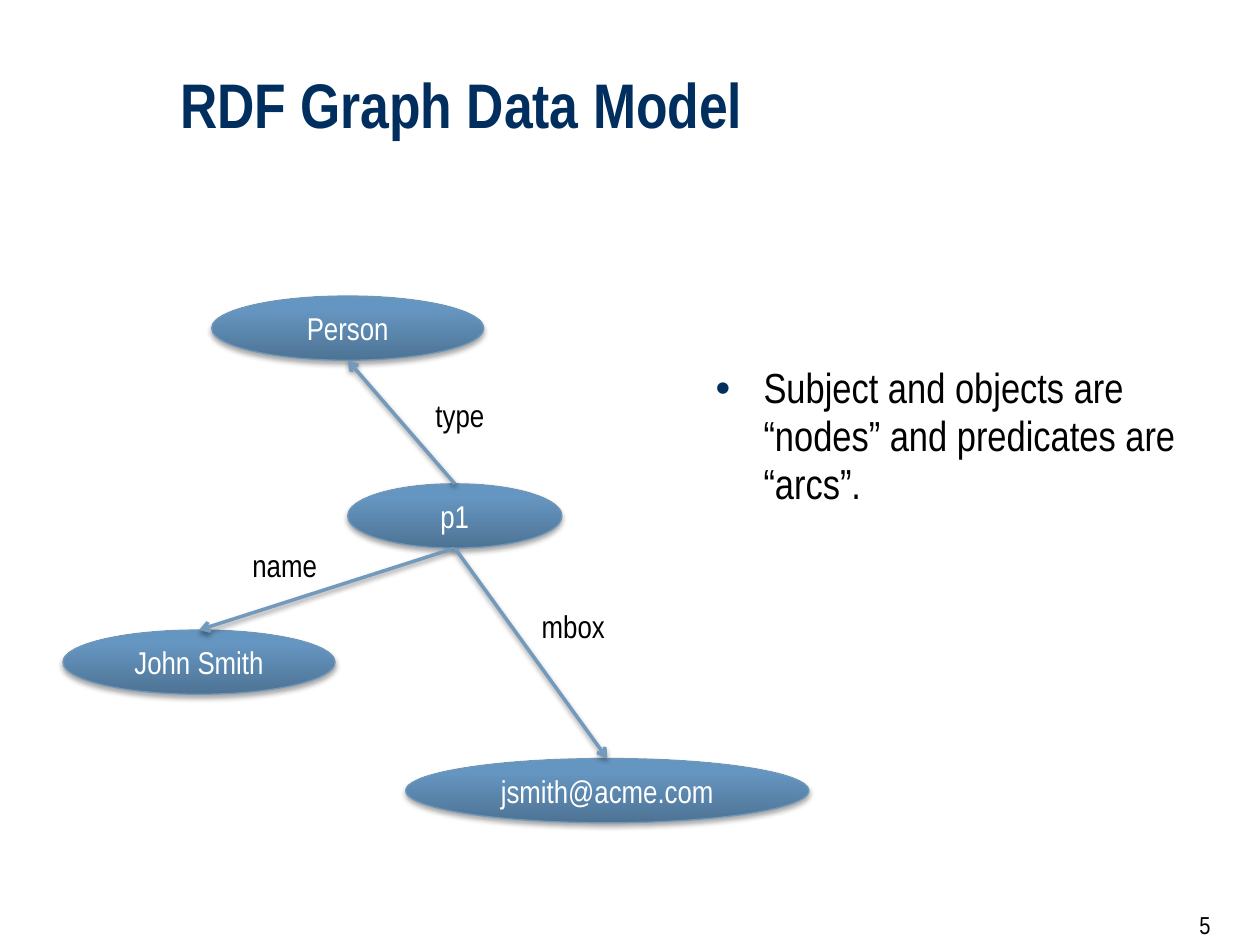
from dataclasses import dataclass

from lxml.etree import SubElement
from pptx import Presentation
from pptx.dml.color import RGBColor
from pptx.enum.shapes import MSO_CONNECTOR as Line, MSO_SHAPE as Preset
from pptx.enum.text import MSO_ANCHOR as Anchor, MSO_AUTO_SIZE as AutoSize, PP_ALIGN as Align
from pptx.oxml.ns import qn
from pptx.util import Inches, Pt

FONT = "Arial Narrow"
NAVY = RGBColor(0x00, 0x2F, 0x5F)
BLACK = RGBColor(0x00, 0x00, 0x00)
WHITE = RGBColor(0xFF, 0xFF, 0xFF)
NODE_EDGE = RGBColor(0x6F, 0x97, 0xBA)
ARC_BLUE = RGBColor(0x73, 0x9A, 0xBC)
NODE_GRADIENT = (
    (0, RGBColor(0x4E, 0x73, 0x94)),
    (80, RGBColor(0x65, 0x96, 0xC1)),
    (100, RGBColor(0x64, 0x97, 0xC3)),
)
SLIDE_W, SLIDE_H = Inches(10), Inches(7.5)
NODE_H = 6.8  # percent of the slide height


@dataclass(frozen=True)
class Node:
    """An ellipse; lengths are percent of the slide's width or height."""
    text: str
    left: float
    top: float
    width: float

    @property
    def middle(self) -> float:
        return self.left + self.width / 2

    @property
    def bottom(self) -> float:
        return self.top + NODE_H


@dataclass(frozen=True)
class Arc:
    """A predicate from the subject to an object, with its label's corner."""
    predicate: str
    target: Node
    label_left: float
    label_top: float


SUBJECT = Node("p1", 27.6, 51.2, 17)
PERSON = Node("Person", 16.8, 31.33, 21.6)
FULL_NAME = Node("John Smith", 5, 66.67, 21.6)
MAILBOX = Node("jsmith@acme.com", 32.2, 80.27, 32)
ARCS = (
    Arc("name", FULL_NAME, 16.8, 57.07),
    Arc("type", PERSON, 30.7, 41.2),
    Arc("mbox", MAILBOX, 39.7, 63.6),
)


def across(percent: float) -> int:
    return round(SLIDE_W * percent / 100)


def down(percent: float) -> int:
    return round(SLIDE_H * percent / 100)


def box(left: float, top: float, width: float, height: float) -> tuple:
    return across(left), down(top), across(width), down(height)


def place(shape, left: float, top: float, width: float, height: float) -> None:
    shape.left, shape.top, shape.width, shape.height = box(left, top, width, height)


def write(frame, text: str, size: int, color: RGBColor,
          align=Align.LEFT, bold: bool = False):
    frame.text = text
    frame.word_wrap = True
    paragraph = frame.paragraphs[0]
    paragraph.alignment = align
    font = paragraph.runs[0].font
    font.name, font.size, font.bold = FONT, Pt(size), bold
    font.color.rgb = color
    return paragraph


def add_shadow(shape, opacity: int, distance: float) -> None:
    effects = SubElement(shape._element.spPr, qn("a:effectLst"))
    shadow = SubElement(effects, qn("a:outerShdw"), blurRad=str(Pt(3.1)),
                        dist=str(Pt(distance)), dir="5400000", rotWithShape="0")
    black = SubElement(shadow, qn("a:srgbClr"), val=str(BLACK))
    SubElement(black, qn("a:alpha"), val=str(opacity * 1000))


def fill_gradient(shape) -> None:
    shape.fill.gradient()
    gradient = shape._element.spPr.find(qn("a:gradFill"))
    stops = gradient.find(qn("a:gsLst"))
    stops.clear()
    for position, color in NODE_GRADIENT:
        stop = SubElement(stops, qn("a:gs"), pos=str(position * 1000))
        SubElement(stop, qn("a:srgbClr"), val=str(color))
    shape.fill.gradient_angle = 90


def draw_node(slide, node: Node) -> None:
    ellipse = slide.shapes.add_shape(
        Preset.OVAL, *box(node.left, node.top, node.width, NODE_H))
    fill_gradient(ellipse)
    ellipse.line.color.rgb = NODE_EDGE
    ellipse.line.width = Pt(0.75)
    add_shadow(ellipse, 35, 1.8)
    ellipse.text_frame.vertical_anchor = Anchor.MIDDLE
    write(ellipse.text_frame, node.text, 18, WHITE, Align.CENTER)


def draw_arc(slide, subject: Node, arc: Arc) -> None:
    target = arc.target
    goes_up = target.top < subject.top
    start, end = (subject.top, target.bottom) if goes_up else (subject.bottom, target.top)
    arrow = slide.shapes.add_connector(
        Line.STRAIGHT, across(subject.middle), down(start),
        across(target.middle), down(end))
    arrow.line.color.rgb = ARC_BLUE
    arrow.line.width = Pt(2)
    SubElement(arrow.line._get_or_add_ln(), qn("a:tailEnd"), type="arrow")
    add_shadow(arrow, 38, 1.6)


def draw_label(slide, text: str, size: int, area: tuple, align) -> None:
    label = slide.shapes.add_textbox(*box(*area))
    write(label.text_frame, text, size, BLACK, align)


def add_bullet(paragraph) -> None:
    properties = paragraph._p.get_or_add_pPr()
    properties.set("marL", str(Inches(0.38)))
    properties.set("indent", str(-Inches(0.38)))
    color = SubElement(properties, qn("a:buClr"))
    SubElement(color, qn("a:srgbClr"), val=str(NAVY))
    SubElement(properties, qn("a:buFont"), typeface="Arial")
    SubElement(properties, qn("a:buChar"), char="•")


def main() -> None:
    deck = Presentation()
    deck.slide_width, deck.slide_height = SLIDE_W, SLIDE_H
    slide = deck.slides.add_slide(deck.slide_layouts[1])

    # Title
    title = slide.shapes.title
    place(title, 13.3, 2.93, 81.7, 12.67)
    title.text_frame.auto_size = AutoSize.NONE
    title.text_frame.vertical_anchor = Anchor.BOTTOM
    heading = write(title.text_frame, "RDF Graph Data Model", 36, NAVY, bold=True)
    heading.line_spacing = 0.85

    # Explanation
    body = slide.placeholders[1]
    place(body, 55.8, 38, 44.2, 22.93)
    body.text_frame.auto_size = AutoSize.NONE
    body.text_frame.vertical_anchor = Anchor.TOP
    explanation = write(
        body.text_frame,
        "Subject and objects are “nodes” and predicates are “arcs”.", 24, BLACK)
    explanation.level = 1
    add_bullet(explanation)
    explanation.line_spacing = 0.95
    explanation.space_before = Pt(0)

    # Graph: nodes, then arcs, then the predicates
    for node in (SUBJECT, PERSON, FULL_NAME, MAILBOX):
        draw_node(slide, node)
    for arc in ARCS:
        draw_arc(slide, SUBJECT, arc)
    for arc in ARCS:
        draw_label(slide, arc.predicate, 18,
                   (arc.label_left, arc.label_top, 11.6, 5.33), Align.CENTER)

    # Page number
    draw_label(slide, "5", 14, (94.2, 95.6, 4.2, 4.53), Align.LEFT)

    deck.save("out.pptx")


if __name__ == "__main__":
    main()
